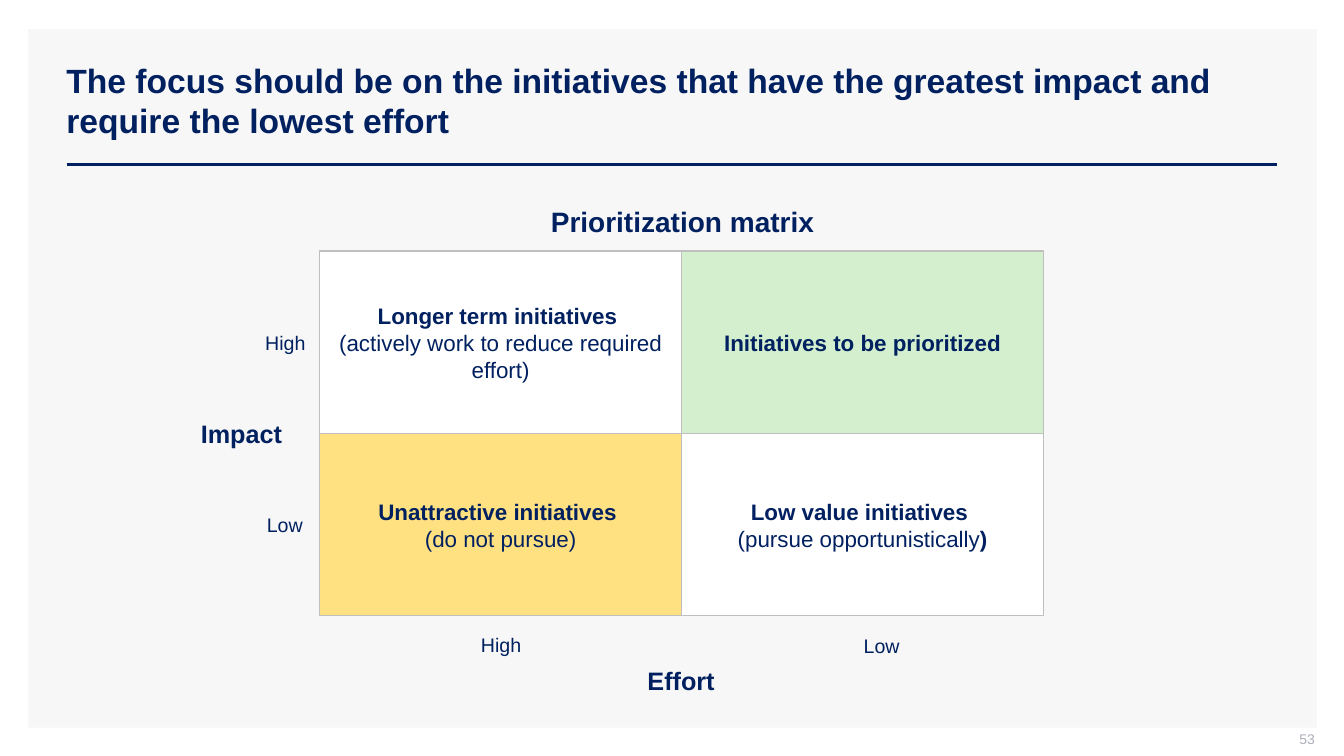
from dataclasses import dataclass

import pptx
import pptx.dml.color
import pptx.enum.shapes
import pptx.enum.text
import pptx.oxml
import pptx.util
from pptx.enum.text import MSO_ANCHOR, PP_ALIGN

PX = 9144  # one px is 1/100 inch
FONT = "Arial"
NAVY, GREY, PANEL, BORDER = "002060", "ADAFBB", "F7F7F7", "BFBFBF"
WHITE, GREEN, YELLOW = "FFFFFF", "D3EFCE", "FFE181"

MATRIX_LEFT, MATRIX_TOP = 317, 249
CELL_WIDTH, CELL_HEIGHT = 359, 181

Run = tuple[str, bool]  # text, bold


@dataclass(frozen=True)
class Quadrant:
    column: int
    row: int
    fill: str
    heading: str
    details: tuple[Run, ...] = ()


@dataclass(frozen=True)
class Label:
    text: str
    left: int
    top: int
    width: int
    height: int
    size: int
    bold: bool = False
    insets: tuple[int, int, int, int] = (10, 5, 10, 5)
    align: PP_ALIGN = PP_ALIGN.CENTER
    anchor: MSO_ANCHOR = MSO_ANCHOR.TOP
    wrap: bool = False
    color: str = NAVY


QUADRANTS = [
    Quadrant(0, 0, WHITE, "Longer term initiatives ",
             (("(actively work to reduce required effort)", False),)),
    Quadrant(1, 0, GREEN, "Initiatives to be prioritized"),
    Quadrant(0, 1, YELLOW, "Unattractive initiatives ", (("(do not pursue)", False),)),
    Quadrant(1, 1, WHITE, "Low value initiatives ",
             (("(pursue opportunistically", False), (")", True))),
]

AXIS_INSETS = (20, 10, 20, 10)
LABELS = [
    Label("The focus should be on the initiatives that have the greatest impact "
          "and require the lowest effort", 56, 40, 1211, 119, 24, bold=True,
          align=PP_ALIGN.LEFT, anchor=MSO_ANCHOR.MIDDLE, wrap=True),
    Label("53", 1004, 725, 300, 21, 10, insets=(10, 0, 0, 5), align=PP_ALIGN.RIGHT,
          anchor=MSO_ANCHOR.MIDDLE, wrap=True, color=GREY),
    Label("Prioritization matrix", 474, 203, 406, 34, 20, bold=True,
          insets=(8, 0, 8, 0), anchor=MSO_ANCHOR.MIDDLE, wrap=True),
    Label("Impact", 178, 405, 123, 50, 18, bold=True, insets=AXIS_INSETS),
    Label("Effort", 621, 650, 109, 50, 18, bold=True, insets=AXIS_INSETS),
    Label("High", 252, 323, 62, 34, 14),
    Label("Low", 254, 504, 57, 34, 14),
    Label("High", 466, 623, 62, 34, 14),
    Label("Low", 846, 624, 57, 34, 14),
]


def px(length: int) -> pptx.util.Emu:
    return pptx.util.Emu(length * PX)


def rgb(color: str) -> pptx.dml.color.RGBColor:
    return pptx.dml.color.RGBColor.from_string(color)


def add_run(paragraph, text: str, *, size: int, bold: bool = False, color: str = NAVY) -> None:
    run = paragraph.add_run()
    run.text = text
    run.font.name = FONT
    run.font.size = pptx.util.Pt(size)
    run.font.bold = bold
    run.font.color.rgb = rgb(color)


def set_frame(frame, insets: tuple[int, int, int, int], anchor: MSO_ANCHOR, wrap: bool) -> None:
    frame.margin_left, frame.margin_top, frame.margin_right, frame.margin_bottom = map(px, insets)
    frame.vertical_anchor = anchor
    frame.word_wrap = wrap


def add_rectangle(slide, left: int, top: int, width: int, height: int, fill: str):
    shape = slide.shapes.add_shape(pptx.enum.shapes.MSO_SHAPE.RECTANGLE,
                                   px(left), px(top), px(width), px(height))
    shape.shadow.inherit = False
    shape.fill.solid()
    shape.fill.fore_color.rgb = rgb(fill)
    shape.line.fill.background()
    return shape


def add_rule(slide, left: int, right: int, y: int) -> None:
    rule = slide.shapes.add_connector(pptx.enum.shapes.MSO_CONNECTOR.STRAIGHT,
                                      px(left), px(y), px(right), px(y))
    rule.line.color.rgb = rgb(NAVY)
    rule.line.width = pptx.util.Pt(2)
    rule._element.spPr.append(pptx.oxml.parse_xml(
        '<a:effectLst xmlns:a="http://schemas.openxmlformats.org/drawingml/2006/main"/>'))


def add_label(slide, label: Label) -> None:
    shape = slide.shapes.add_textbox(px(label.left), px(label.top),
                                     px(label.width), px(label.height))
    set_frame(shape.text_frame, label.insets, label.anchor, label.wrap)
    paragraph = shape.text_frame.paragraphs[0]
    paragraph.alignment = label.align
    add_run(paragraph, label.text, size=label.size, bold=label.bold, color=label.color)


def add_quadrant(slide, quadrant: Quadrant) -> None:
    shape = add_rectangle(slide, MATRIX_LEFT + quadrant.column * CELL_WIDTH,
                          MATRIX_TOP + quadrant.row * CELL_HEIGHT,
                          CELL_WIDTH, CELL_HEIGHT, quadrant.fill)
    shape.line.color.rgb = rgb(BORDER)
    shape.line.width = pptx.util.Pt(0.75)
    set_frame(shape.text_frame, (10, 5, 10, 5), MSO_ANCHOR.MIDDLE, True)
    paragraph = shape.text_frame.paragraphs[0]
    paragraph.alignment = PP_ALIGN.CENTER
    paragraph.space_before = paragraph.space_after = pptx.util.Pt(6)
    add_run(paragraph, quadrant.heading, size=16, bold=True)
    if quadrant.details:
        paragraph.add_line_break()
    for text, bold in quadrant.details:
        add_run(paragraph, text, size=16, bold=bold)


def main() -> None:
    presentation = pptx.Presentation()
    presentation.slide_width, presentation.slide_height = px(1333), px(750)
    slide = presentation.slides.add_slide(presentation.slide_layouts[6])

    # Background panel and title rule
    add_rectangle(slide, 28, 29, 1278, 693, PANEL)
    add_rule(slide, 66, 1267, 163)

    # Title, axis labels and page number
    for label in LABELS:
        add_label(slide, label)

    # Prioritization matrix
    for quadrant in QUADRANTS:
        add_quadrant(slide, quadrant)

    presentation.save("out.pptx")


if __name__ == "__main__":
    main()
